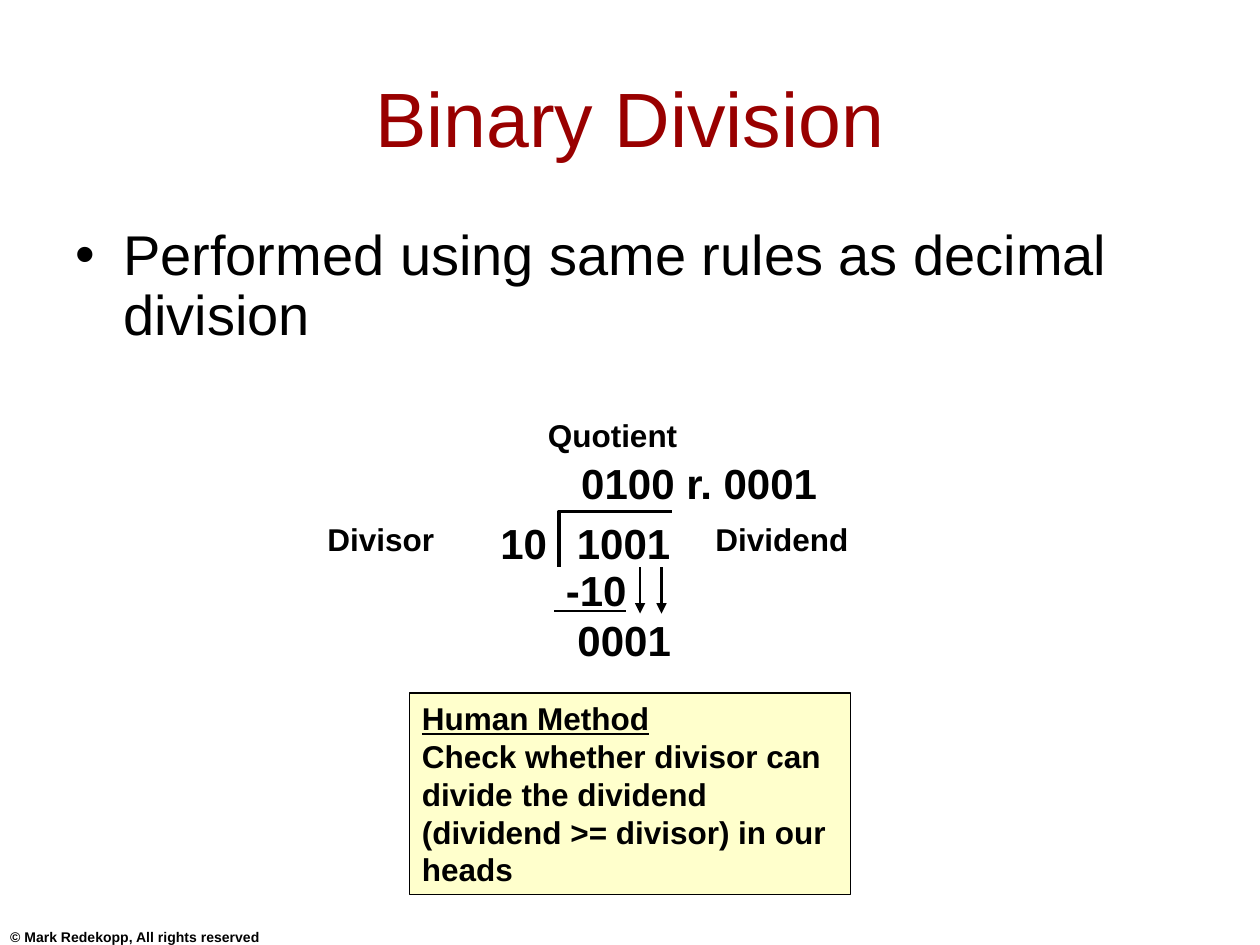
"""Builds a slide that works through a binary long division."""
from lxml.etree import SubElement
from pptx import Presentation
from pptx.dml.color import RGBColor
from pptx.enum.shapes import MSO_CONNECTOR, MSO_SHAPE
from pptx.enum.text import MSO_ANCHOR, PP_ALIGN
from pptx.oxml.ns import qn
from pptx.util import Inches, Pt

prs = Presentation()
prs.slide_width, prs.slide_height = Inches(10), Inches(7.5)
col, row = prs.slide_width / 100, prs.slide_height / 75


def color(fmt, value):
    fmt.rgb = RGBColor.from_string(value)


def write(p, text, size, bold=True, underline=False, value="000000"):
    r = p.add_run()
    r.text = text
    r.font.name, r.font.size = "Arial", Pt(size)
    r.font.bold, r.font.underline = bold, underline
    color(r.font.color, value)


s = prs.slides.add_slide(prs.slide_layouts[5])
sp = s.shapes.title
sp.left, sp.top = int(5 * col), int(3 * row)
sp.width, sp.height = int(90 * col), int(12.5 * row)
tf = sp.text_frame
tf.vertical_anchor = MSO_ANCHOR.MIDDLE
tf.paragraphs[0].alignment = PP_ALIGN.CENTER
write(tf.paragraphs[0], "Binary Division", 44, bold=False, value="990000")

sp = s.shapes.add_textbox(int(5 * col), int(17.5 * row), int(90 * col), int(10.8 * row))
sp.text_frame.word_wrap = True
p = sp.text_frame.paragraphs[0]
p.line_spacing = 0.9
pPr = p._p.get_or_add_pPr()
pPr.set("marL", str(Inches(0.38)))
pPr.set("indent", str(-Inches(0.38)))
SubElement(pPr, qn("a:buFont"), typeface="Arial")
SubElement(pPr, qn("a:buChar"), char="•")
write(p, "Performed using same rules as decimal division", 32, bold=False)

labels = [
    ("Quotient", 42.5, 32.5, 14.2, 4, 18, PP_ALIGN.LEFT),
    ("Divisor", 25, 40.8, 12.5, 4, 18, PP_ALIGN.LEFT),
    ("Dividend", 55.8, 40.8, 14.2, 4, 18, PP_ALIGN.LEFT),
    ("0100 r. 0001", 45.15, 35.8, 28, 5, 24, PP_ALIGN.LEFT),
    ("10", 38.6, 40.6, 5.8, 5, 24, PP_ALIGN.RIGHT),
    ("1001", 44.8, 40.6, 14, 5, 24, PP_ALIGN.LEFT),
]
for text, x, y, w, h, size, align in labels:
    sp = s.shapes.add_textbox(int(x * col), int(y * row), int(w * col), int(h * row))
    sp.text_frame.word_wrap = True
    p = sp.text_frame.paragraphs[0]
    p.alignment = align
    write(p, text, size)

sp = s.shapes.add_textbox(int(43 * col), int(44.3 * row), int(15 * col), int(9 * row))
tf = sp.text_frame
tf.word_wrap = True
write(tf.paragraphs[0], " -10", 24, underline=True)
p = tf.add_paragraph()
p._p.get_or_add_pPr().set("marL", str(int(1.85 * col)))
write(p, "0001", 24)

builder = s.shapes.build_freeform(int(44.4 * col), int(45 * row))
builder.add_line_segments(
    [(int(44.4 * col), int(40.6 * row)), (int(53.3 * col), int(40.6 * row))], close=False)
sp = builder.convert_to_shape()
sp.shadow.inherit = False
sp.fill.background()
color(sp.line.color, "000000")
sp.line.width = Pt(2.25)

for x in (50.8, 52.5):
    sp = s.shapes.add_connector(
        MSO_CONNECTOR.STRAIGHT, int(x * col), int(45 * row), int(x * col), int(48.7 * row))
    color(sp.line.color, "000000")
    sp.line.width = Pt(1.5)
    SubElement(sp.line._get_or_add_ln(), qn("a:tailEnd"), type="triangle")
    SubElement(sp._element.spPr, qn("a:effectLst"))

sp = s.shapes.add_shape(
    MSO_SHAPE.RECTANGLE, int(32.5 * col), int(55 * row), int(35 * col), int(16 * row))
sp.shadow.inherit = False
sp.fill.solid()
color(sp.fill.fore_color, "FFFFCC")
color(sp.line.color, "000000")
sp.line.width = Pt(0.75)
tf = sp.text_frame
tf.word_wrap = True
tf.vertical_anchor = MSO_ANCHOR.TOP
p = tf.paragraphs[0]
p.alignment = PP_ALIGN.LEFT
write(p, "Human Method", 18, underline=True)
p.add_line_break()
write(p, "Check whether divisor can divide the dividend (dividend >= divisor) in our heads", 18)

sp = s.shapes.add_textbox(int(0.8 * col), int(73.2 * row), int(49.2 * col), int(1.8 * row))
tf = sp.text_frame
tf.word_wrap = True
tf.vertical_anchor = MSO_ANCHOR.BOTTOM
tf.margin_left = tf.margin_bottom = 0
write(tf.paragraphs[0], "© Mark Redekopp, All rights reserved", 8)

prs.save("out.pptx")
